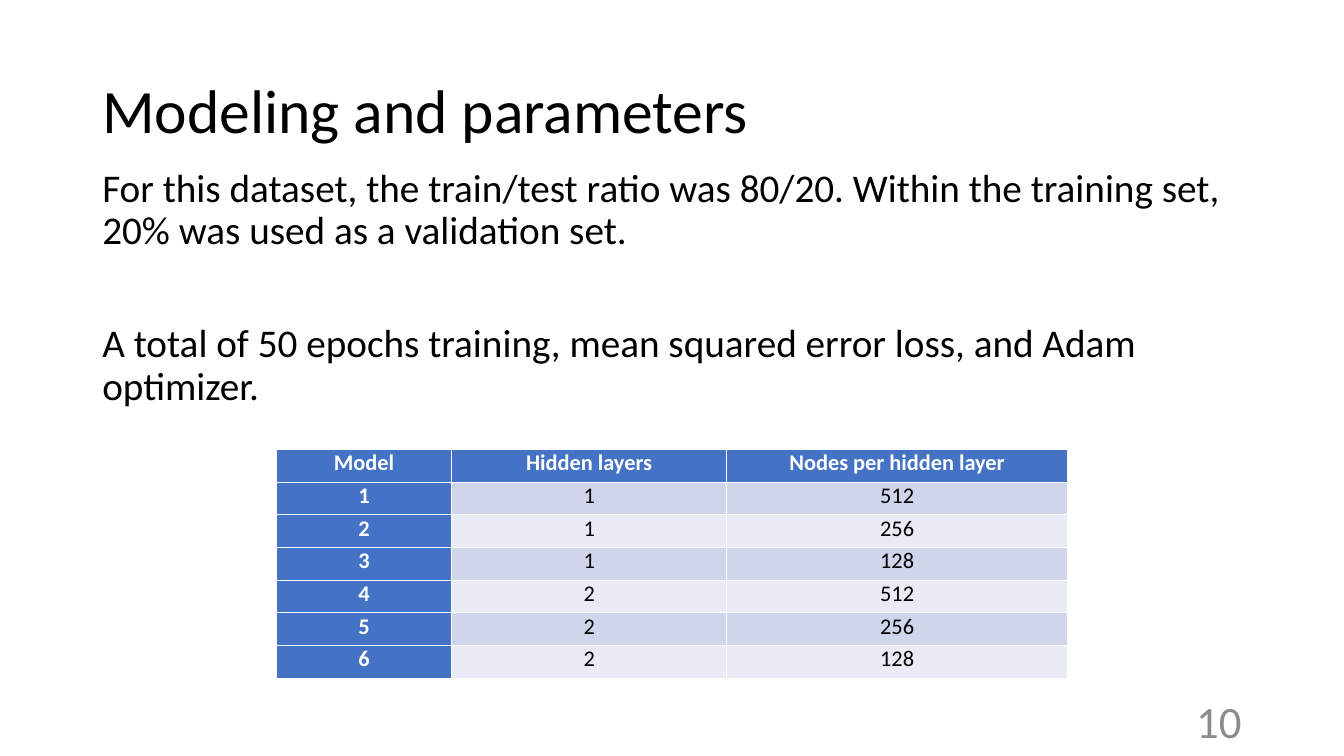
from pptx import Presentation
from pptx.dml.color import RGBColor
from pptx.enum.text import MSO_ANCHOR, PP_ALIGN
from pptx.util import Pt

LEFT, MID, RIGHT = PP_ALIGN.LEFT, PP_ALIGN.CENTER, PP_ALIGN.RIGHT
TOP, CENTER = MSO_ANCHOR.TOP, MSO_ANCHOR.MIDDLE
BLACK = RGBColor(0x00, 0x00, 0x00)
WHITE = RGBColor(0xFF, 0xFF, 0xFF)
GREY = RGBColor(0x8C, 0x8C, 0x8C)
BLUE = RGBColor(0x44, 0x72, 0xC4)
BANDS = [RGBColor(0xE9, 0xEB, 0xF5), RGBColor(0xCF, 0xD5, 0xEA)]


def write(para, text, size, color, bold=False, **form):
    run = para.add_run()
    run.text = text
    for key, value in {"name": "Calibri", "size": Pt(size), "bold": bold}.items():
        setattr(run.font, key, value)
    run.font.color.rgb = color
    for key, value in form.items():
        setattr(para, key, value)


def add_text(box, anchor, lines, size, color, **form):
    frame = slide.shapes.add_textbox(*map(Pt, box)).text_frame
    frame.word_wrap = True
    frame.vertical_anchor = anchor
    for i, (text, gap) in enumerate(lines):
        para = frame.add_paragraph() if i else frame.paragraphs[0]
        write(para, text, size, color, space_before=Pt(gap), **form)


deck = Presentation()
deck.slide_width, deck.slide_height = Pt(960), Pt(540)
slide = deck.slides.add_slide(deck.slide_layouts[6])

add_text((66, 28.75, 828, 104.4), CENTER, [("Modeling and parameters", 0)],
         44, BLACK, alignment=LEFT, line_spacing=0.9)

body = [
    ("For this dataset, the train/test ratio was 80/20. Within the training set, "
     "20% was used as a validation set.", 10),
    ("A total of 50 epochs training, mean squared error loss, and Adam optimizer.", 50.8),
]
add_text((66, 116.6, 858, 214.6), TOP, body, 28, BLACK,
         alignment=LEFT, line_spacing=0.9)

add_text((678, 500.5, 216, 28.75), CENTER, [("10", 0)], 32, GREY, alignment=RIGHT)

rows = [("Model", "Hidden layers", "Nodes per hidden layer")]
for layers in (1, 2):
    for nodes in (512, 256, 128):
        rows.append((len(rows), layers, nodes))

widths = [125.1, 196.5, 243.5]
high = 23.35
table = slide.shapes.add_table(
    len(rows), len(widths), Pt(197.5), Pt(321.1),
    Pt(sum(widths)), Pt(high * len(rows))).table
table.first_col = True
for col, width in zip(table.columns, widths):
    col.width = Pt(width)

pads = {"margin_left": Pt(5), "margin_right": Pt(5),
        "margin_top": Pt(0), "margin_bottom": Pt(0)}
for r, row in enumerate(rows):
    table.rows[r].height = Pt(high)
    for c, value in enumerate(row):
        cell = table.cell(r, c)
        for key, pad in pads.items():
            setattr(cell, key, pad)
        head = r == 0 or c == 0
        cell.fill.solid()
        cell.fill.fore_color.rgb = BLUE if head else BANDS[r % 2]
        write(cell.text_frame.paragraphs[0], str(value), 16,
              WHITE if head else BLACK, head, alignment=MID)

deck.save("out.pptx")
